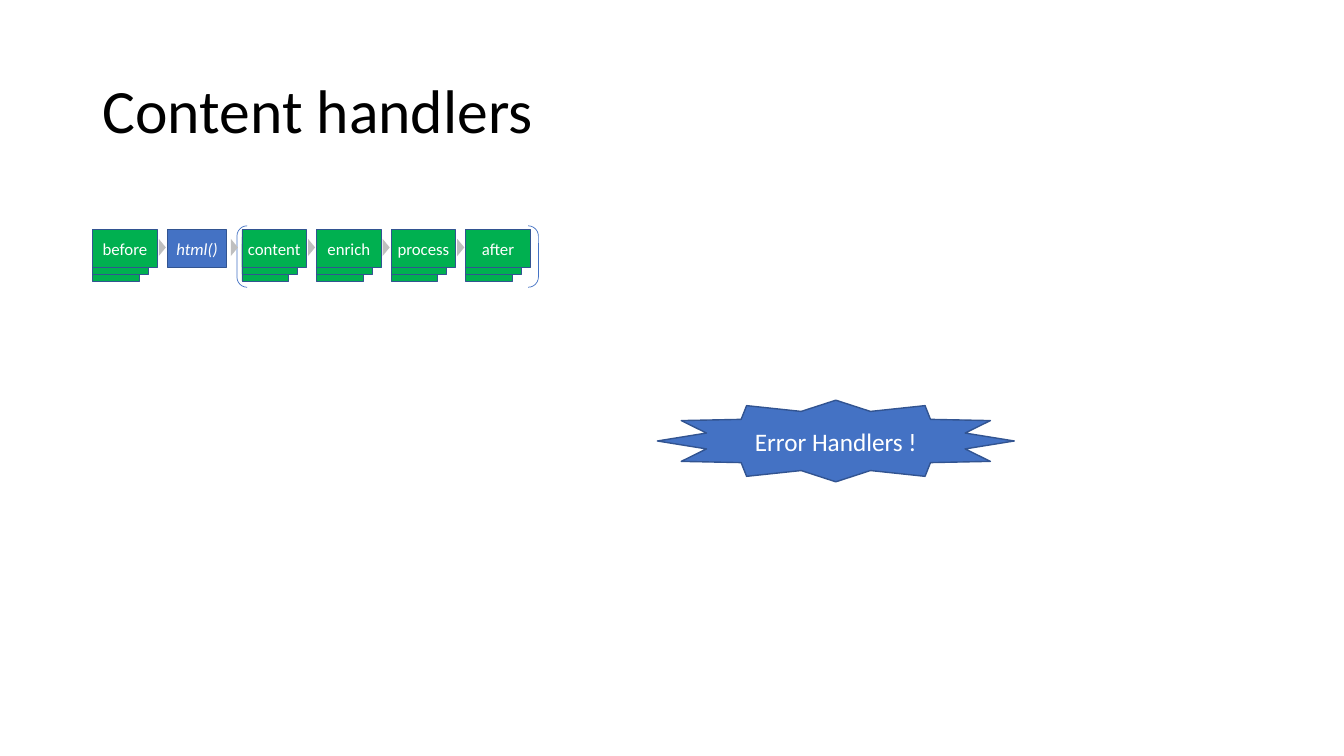
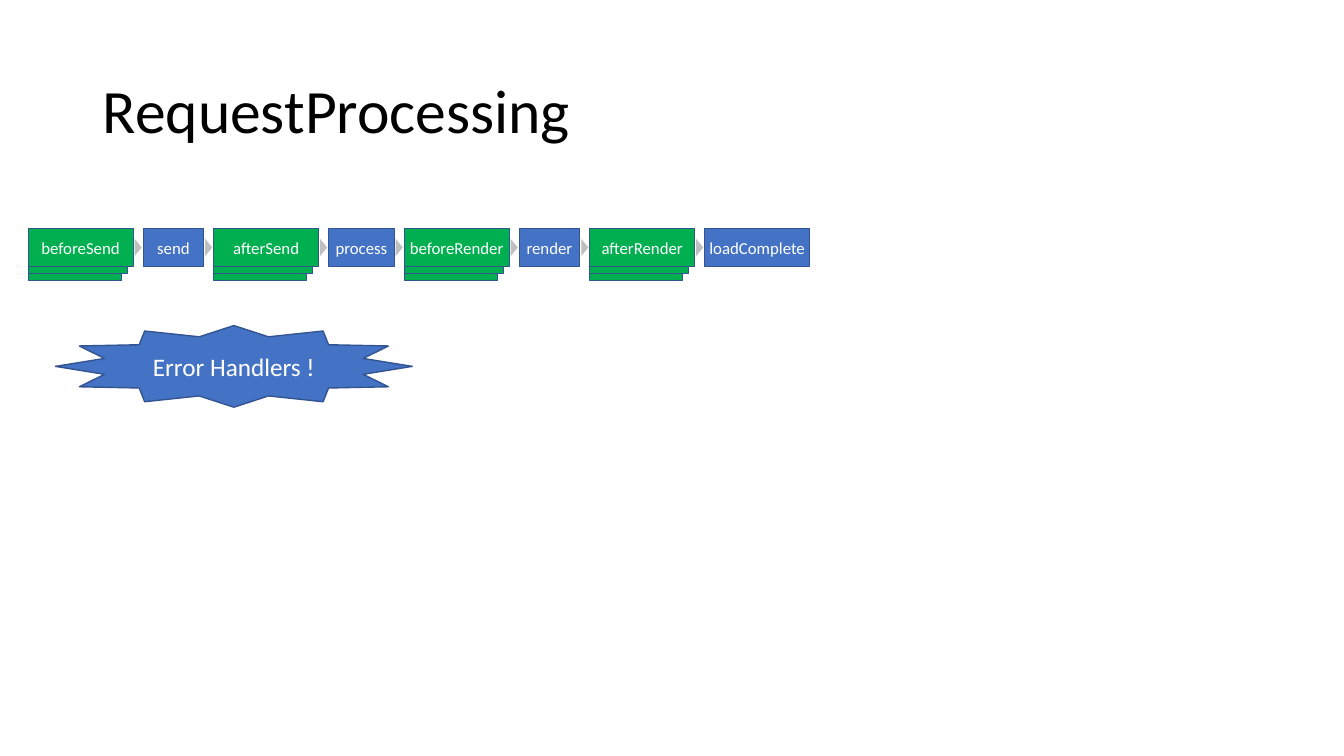
from dataclasses import dataclass

from pptx import Presentation
from pptx import util as u
from pptx.dml.color import RGBColor
from pptx.enum import shapes, text


@dataclass(frozen=True)
class Theme:
    font: str = "Calibri"
    ink: str = "000000"
    light: str = "FFFFFF"
    blue: str = "4472C4"
    green: str = "00B050"
    outline: str = "325491"
    arrow: str = "BFBFBF"
    title_size: int = 44
    burst_size: int = 18
    step_size: int = 12
    thin: float = 0.5
    medium: float = 1


class Deck:
    GAP = 0.1
    STEP_HEIGHT = 0.37
    LAYER_DROP = 0.07
    ARROW_MIDDLE = 2.455

    def __init__(self, theme):
        self.theme = theme
        self.deck = Presentation()
        self.deck.slide_width = u.Inches(13.33)
        self.deck.slide_height = u.Inches(7.5)
        self.page = None

    def new_page(self, title):
        self.page = self.deck.slides.add_slide(self.deck.slide_layouts[6])
        box = self.page.shapes.add_textbox(*map(u.Inches, (0.92, 0.4, 11.5, 1.45)))
        self.label(box, title, self.theme.title_size, self.theme.ink,
                   text.PP_ALIGN.LEFT)
        box.text_frame.paragraphs[0].line_spacing = 0.9

    def label(self, box, words, size, colour, align=text.PP_ALIGN.CENTER,
              italic=False):
        frame = box.text_frame
        frame.text = words
        frame.word_wrap = True
        frame.vertical_anchor = text.MSO_ANCHOR.MIDDLE
        para = frame.paragraphs[0]
        para.alignment = align
        font = para.runs[0].font
        font.name = self.theme.font
        font.size = u.Pt(size)
        font.italic = italic
        font.color.rgb = RGBColor.from_string(colour)

    def shape(self, kind, place, fill=None, line=None, weight=None, parent=None):
        holder = parent or self.page
        box = holder.shapes.add_shape(kind, *map(u.Inches, place))
        box.shadow.inherit = False
        if fill:
            box.fill.solid()
            box.fill.fore_color.rgb = RGBColor.from_string(fill)
        else:
            box.fill.background()
        if line:
            box.line.color.rgb = RGBColor.from_string(line)
            box.line.width = u.Pt(weight)
        else:
            box.line.fill.background()
        return box

    def step(self, place, words=None, fill=None, italic=False, parent=None):
        box = self.shape(shapes.MSO_SHAPE.RECTANGLE, place,
                         fill or self.theme.blue, self.theme.outline,
                         self.theme.thin, parent)
        if words:
            self.label(box, words, self.theme.step_size, self.theme.light,
                       italic=italic)
            box.text_frame.margin_left = u.Inches(0.04)
            box.text_frame.margin_right = u.Inches(0.04)

    def stack(self, left, top, width, words, inset):
        group = self.page.shapes.add_group_shape()
        for layer in (2, 1, 0):
            place = (left, top + layer * self.LAYER_DROP,
                     width - layer * inset, self.STEP_HEIGHT)
            self.step(place, None if layer else words, self.theme.green,
                      parent=group)

    def arrow(self, centre):
        width, height = 0.17, 0.07
        place = (centre - width / 2, self.ARROW_MIDDLE - height / 2, width, height)
        head = self.shape(shapes.MSO_SHAPE.ISOSCELES_TRIANGLE, place,
                          self.theme.arrow)
        head.rotation = 90

    def flow(self, left, top, steps, inset):
        end = None
        for words, width, stacked, lead in steps:
            if end is not None:
                left = end + self.GAP + lead
                self.arrow((end + left) / 2)
            if stacked:
                self.stack(left, top, width, words, inset)
            else:
                self.step((left, top, width, self.STEP_HEIGHT), words,
                          italic=words.endswith("()"))
            end = left + width

    def bracket(self, *place):
        self.shape(shapes.MSO_SHAPE.DOUBLE_BRACKET, place, line=self.theme.blue,
                   weight=self.theme.thin)

    def burst(self, left, top, words):
        box = self.shape(shapes.MSO_SHAPE.STAR_12_POINT, (left, top, 3.54, 0.81),
                         self.theme.blue, self.theme.outline, self.theme.medium)
        self.label(box, words, self.theme.burst_size, self.theme.light)


CONTENT_STEPS = [
    ("before", 0.64, True, 0),
    ("html()", 0.59, False, 0),
    ("content", 0.64, True, 0.05),
    ("enrich", 0.64, True, 0),
    ("process", 0.64, True, 0),
    ("after", 0.64, True, 0),
]

REQUEST_STEPS = [
    ("beforeSend", 1.04, True, 0),
    ("send", 0.6, False, 0),
    ("afterSend", 1.04, True, 0),
    ("process", 0.65, False, 0),
    ("beforeRender", 1.04, True, 0),
    ("render", 0.6, False, 0),
    ("afterRender", 1.04, True, 0),
    ("loadComplete", 1.04, False, 0),
]

ERRORS = "Error Handlers !"


def main():
    show = Deck(Theme())

    show.new_page("Content handlers")
    show.bracket(2.35, 2.24, 2.99, 0.61)
    show.flow(0.92, 2.28, CONTENT_STEPS, inset=0.09)
    show.burst(6.52, 3.97, ERRORS)

    show.new_page("RequestProcessing")
    show.flow(0.28, 2.27, REQUEST_STEPS, inset=0.06)
    show.burst(0.55, 3.23, ERRORS)

    show.deck.save("out.pptx")


if __name__ == "__main__":
    main()
